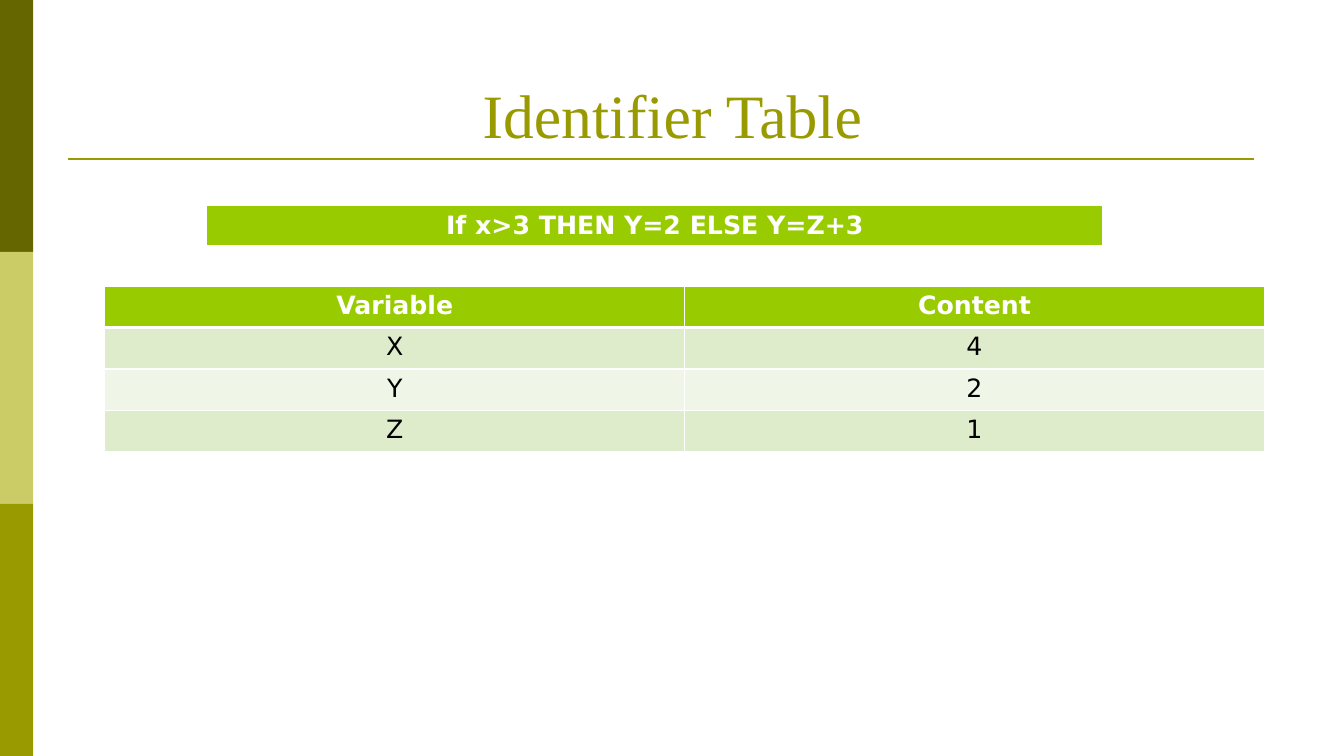
from dataclasses import dataclass

from lxml import etree
from pptx import Presentation
from pptx.dml.color import RGBColor
from pptx.enum.shapes import MSO_CONNECTOR, MSO_SHAPE
from pptx.enum.text import MSO_ANCHOR, PP_ALIGN
from pptx.oxml.ns import qn
from pptx.util import Inches, Pt

RECTANGLE = MSO_SHAPE.RECTANGLE
STRAIGHT = MSO_CONNECTOR.STRAIGHT
CENTER = PP_ALIGN.CENTER
BOTTOM = MSO_ANCHOR.BOTTOM
TITLE_ONLY = 5
ROW_HEIGHT = 0.41


@dataclass(frozen=True)
class Theme:
    olive: str = "999900"
    side_bands: tuple = ("666600", "CCCC66", "999900")
    header: str = "99CC00"
    row_bands: tuple = ("DEECCC", "EFF6E7")
    white: str = "FFFFFF"
    black: str = "000000"
    title_font: str = "Times New Roman"
    table_font: str = "DejaVu Sans"
    title_size: int = 44
    table_size: int = 18
    thin: int = 1
    thick: int = 3


THEME = Theme()


def rgb(color):
    return RGBColor.from_string(color)


def format_text(text_frame, font, size, color, bold=False):
    for paragraph in text_frame.paragraphs:
        paragraph.alignment = CENTER
        for run in paragraph.runs:
            run.font.name = font
            run.font.size = Pt(size)
            run.font.bold = bold
            run.font.color.rgb = rgb(color)


def add_side_bands(slide):
    height = 7.5 / len(THEME.side_bands)
    for index, color in enumerate(THEME.side_bands):
        band = slide.shapes.add_shape(
            RECTANGLE, 0, Inches(index * height), Inches(0.33), Inches(height)
        )
        band.shadow.inherit = False
        band.fill.solid()
        band.fill.fore_color.rgb = rgb(color)
        band.line.fill.background()


def add_title_rule(slide):
    rule = slide.shapes.add_connector(
        STRAIGHT, Inches(0.67), Inches(1.58), Inches(12.44), Inches(1.58)
    )
    rule.line.color.rgb = rgb(THEME.olive)
    rule.line.width = Pt(1.5)
    etree.SubElement(rule.element.spPr, qn("a:effectLst"))


def set_title(slide, text):
    title = slide.shapes.title
    title.left, title.top = Inches(0.67), Inches(0.3)
    title.width, title.height = Inches(12), Inches(1.25)
    title.text_frame.text = text
    title.text_frame.vertical_anchor = BOTTOM
    format_text(title.text_frame, THEME.title_font, THEME.title_size, THEME.olive)


def set_borders(cell, top, bottom):
    properties = cell._tc.get_or_add_tcPr()
    widths = {"a:lnL": THEME.thin, "a:lnR": THEME.thin, "a:lnT": top, "a:lnB": bottom}
    for tag, width in widths.items():
        line = etree.SubElement(properties, qn(tag), w=str(Pt(width)))
        fill = etree.SubElement(line, qn("a:solidFill"))
        etree.SubElement(fill, qn("a:srgbClr"), val=THEME.white)


def format_cell(cell, text, row_index):
    is_header = row_index == 0
    top = THEME.thick if row_index == 1 else THEME.thin
    bottom = THEME.thick if is_header else THEME.thin
    set_borders(cell, top, bottom)
    cell.fill.solid()
    band = THEME.row_bands[(row_index - 1) % 2]
    cell.fill.fore_color.rgb = rgb(THEME.header if is_header else band)
    cell.text_frame.text = text
    color = THEME.white if is_header else THEME.black
    format_text(cell.text_frame, THEME.table_font, THEME.table_size, color, is_header)


def add_table(slide, left, top, width, rows):
    frame = slide.shapes.add_table(
        len(rows), len(rows[0]), Inches(left), Inches(top),
        Inches(width), Inches(ROW_HEIGHT * len(rows)),
    )
    for row_index, values in enumerate(rows):
        frame.table.rows[row_index].height = Inches(ROW_HEIGHT)
        for column_index, text in enumerate(values):
            format_cell(frame.table.cell(row_index, column_index), text, row_index)


def main():
    presentation = Presentation()
    presentation.slide_width = Inches(13.33)
    presentation.slide_height = Inches(7.5)
    slide = presentation.slides.add_slide(presentation.slide_layouts[TITLE_ONLY])
    add_side_bands(slide)
    add_title_rule(slide)
    set_title(slide, "Identifier Table")
    identifiers = [("Variable", "Content"), ("X", "4"), ("Y", "2"), ("Z", "1")]
    add_table(slide, 1.04, 2.84, 11.5, identifiers)
    add_table(slide, 2.05, 2.04, 8.89, [("If x>3 THEN Y=2 ELSE Y=Z+3",)])
    presentation.save("out.pptx")


main()
